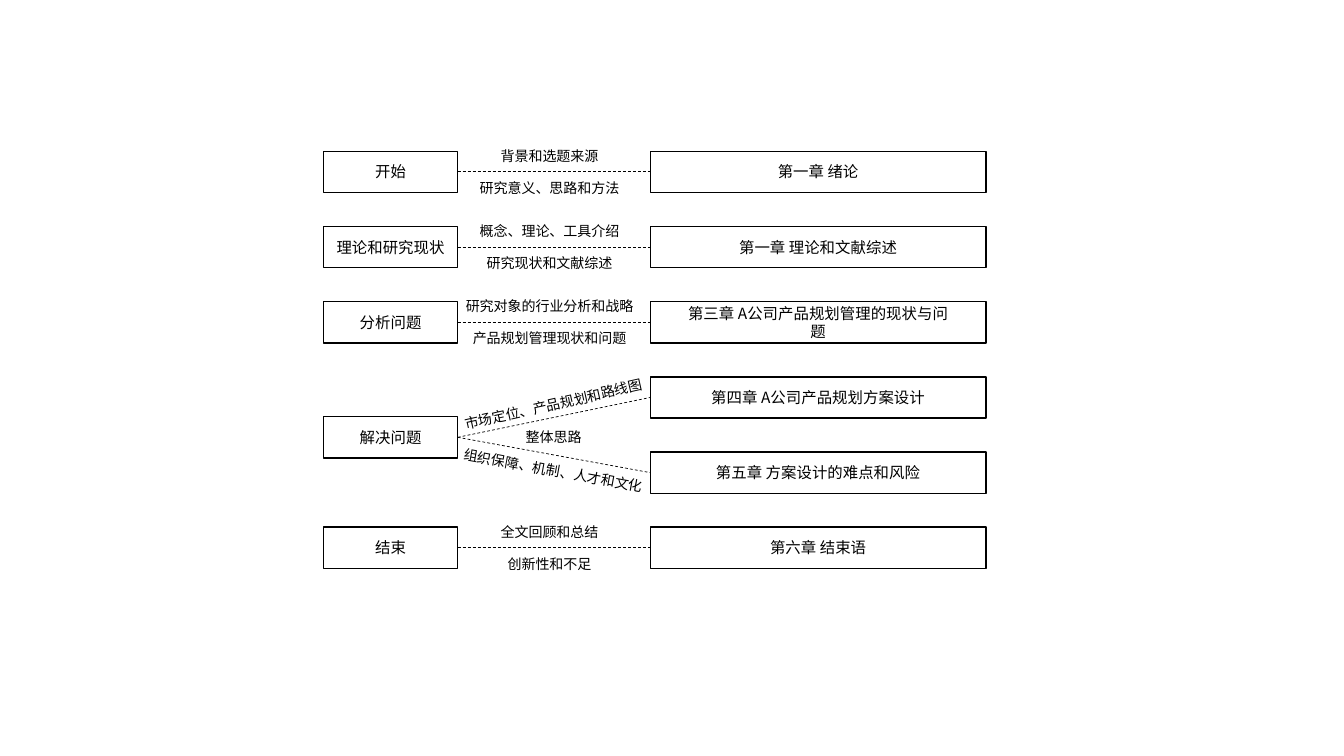
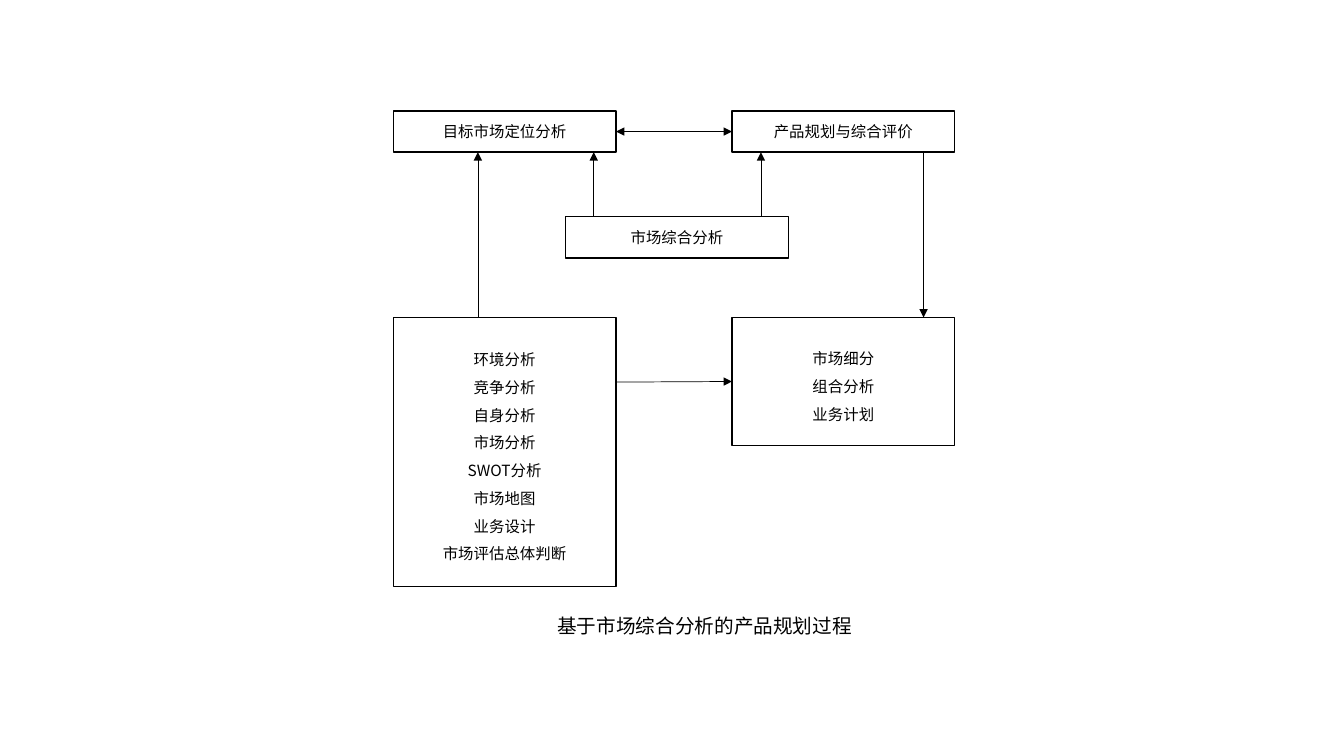
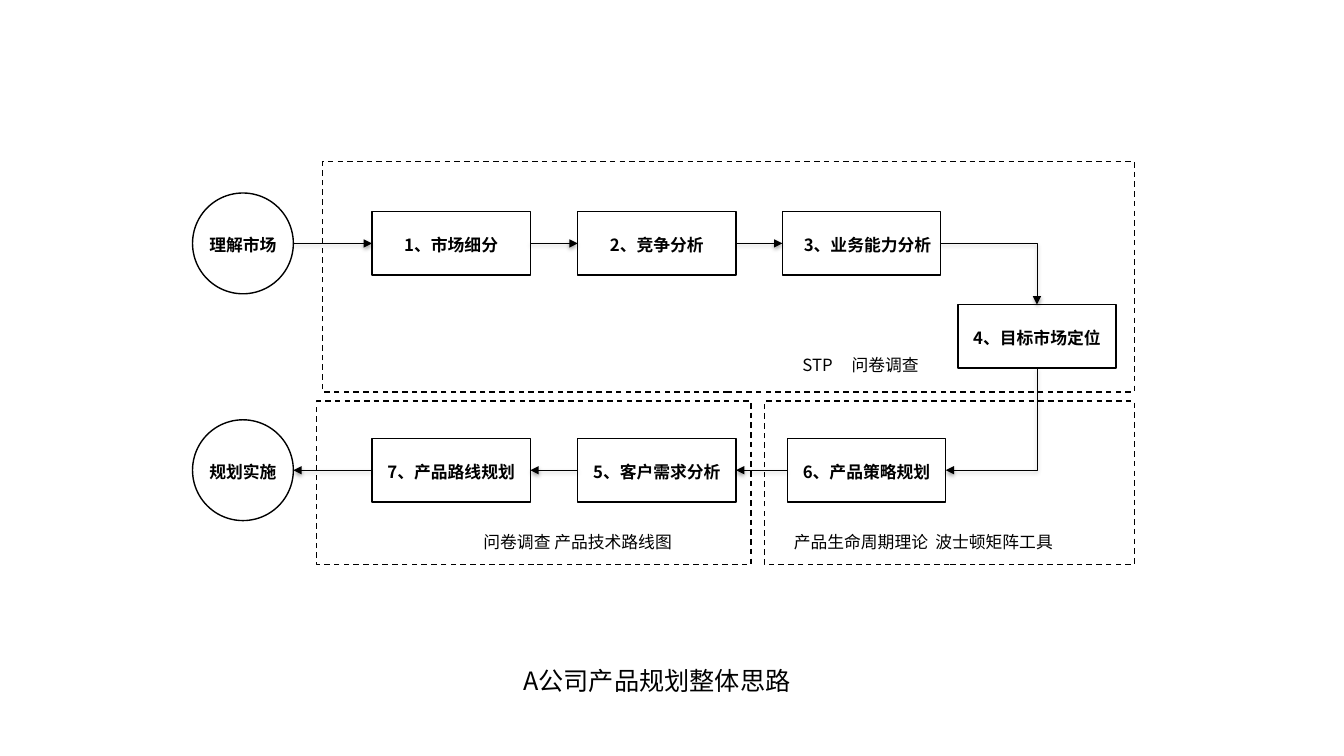
from dataclasses import dataclass

from lxml import etree
from pptx import Presentation
from pptx.dml.color import RGBColor
from pptx.enum.dml import MSO_LINE
from pptx.enum.shapes import MSO_CONNECTOR as Wire, MSO_SHAPE as Preset
from pptx.enum.text import MSO_ANCHOR, MSO_AUTO_SIZE, PP_ALIGN
from pptx.oxml.ns import qn
from pptx.util import Inches, Pt

BLACK = RGBColor(0, 0, 0)
WHITE = RGBColor(255, 255, 255)
FONT = "Noto Sans CJK SC"
SLIDE_WIDTH, SLIDE_HEIGHT = 13.33, 7.5
TITLE_ONLY, BLANK = 5, 6
BAR_HEIGHT = 0.41


@dataclass
class Box:
    """A rectangle in inches."""
    left: float
    top: float
    width: float
    height: float

    def inner(self, left, top, width, height):
        """A box whose place is counted from this one's corner."""
        return Box(self.left + left, self.top + top, width, height)

    def point(self, across, down):
        """A point at these shares of the width and height."""
        return self.left + across * self.width, self.top + down * self.height

    def inches(self):
        return [Inches(v) for v in (self.left, self.top, self.width, self.height)]


def centred(x, y, width, height):
    return Box(x - width / 2, y - height / 2, width, height)


def write(frame, text, size=11, bold=False, leading=None, inset=0, shift=0):
    """Centre the lines of text in a frame; shift moves them to the right."""
    frame.word_wrap = True
    frame.auto_size = MSO_AUTO_SIZE.NONE
    frame.vertical_anchor = MSO_ANCHOR.MIDDLE
    frame.margin_left, frame.margin_right = Inches(inset + shift), Inches(inset - shift)
    frame.margin_top = frame.margin_bottom = 0
    for index, line in enumerate(text.split("\n")):
        para = frame.add_paragraph() if index else frame.paragraphs[0]
        para.alignment = PP_ALIGN.CENTER
        para.line_spacing = Pt(leading or round(size * 1.2))
        span = para.add_run()
        span.text = line
        span.font.name, span.font.size, span.font.bold = FONT, Pt(size), bold
        span.font.color.rgb = BLACK
        etree.SubElement(span.font._element, qn("a:ea"), typeface=FONT)


def add_outline(page, box, text="", preset=Preset.RECTANGLE, fill=None, dashed=False, **style):
    shape = page.shapes.add_shape(preset, *box.inches())
    shape.shadow.inherit = False
    if fill is None:
        shape.fill.background()
    else:
        shape.fill.solid()
        shape.fill.fore_color.rgb = fill
    shape.line.color.rgb, shape.line.width = BLACK, Pt(1)
    if dashed:
        shape.line.dash_style = MSO_LINE.DASH
    if text:
        write(shape.text_frame, text, **style)
    return box


def add_label(page, box, text, rotation=0, **style):
    label = page.shapes.add_textbox(*box.inches())
    label.rotation = rotation
    write(label.text_frame, text, **style)


def add_caption(page, box, text, **style):
    """Place the slide title as the caption of its figure."""
    title = page.shapes.title
    title.left, title.top, title.width, title.height = box.inches()
    write(title.text_frame, text, **style)


def add_line(page, start, end, kind=Wire.STRAIGHT, dashed=False, heads=(), shadow=False):
    """Draw a thin line; heads names the ends with arrows: headEnd, tailEnd."""
    wire = page.shapes.add_connector(kind, *[Inches(v) for v in (*start, *end)])
    wire.line.color.rgb, wire.line.width = BLACK, Pt(0.5)
    if dashed:
        wire.line.dash_style = MSO_LINE.DASH
    properties = wire._element.spPr
    for name in heads:
        etree.SubElement(properties.find(qn("a:ln")), qn(f"a:{name}"), type="triangle")
    effects = etree.SubElement(properties, qn("a:effectLst"))
    if shadow:
        outer = etree.SubElement(effects, qn("a:outerShdw"), blurRad=str(Pt(3)),
                                 dist=str(Pt(1.6)), dir="5400000", rotWithShape="0")
        colour = etree.SubElement(outer, qn("a:srgbClr"), val=str(BLACK))
        etree.SubElement(colour, qn("a:alpha"), val="38000")
    return wire


def add_arrow(page, start, end, **style):
    return add_line(page, start, end, heads=["tailEnd"], **style)


def add_corner(page, start, end, turned=False):
    """Draw a one-bend arrow: right then down, or, turned, down then left."""
    if turned:
        (x1, y1), (x2, y2) = start, end
        frame = centred((x1 + x2) / 2, (y1 + y2) / 2, abs(y2 - y1), abs(x2 - x1))
        start, end = frame.point(0, 0), frame.point(1, 1)
    wire = add_arrow(page, start, end, kind=Wire.ELBOW, shadow=True)
    properties = wire._element.spPr
    properties.find(qn("a:prstGeom")).set("prst", "bentConnector2")
    if turned:
        properties.find(qn("a:xfrm")).set("rot", "5400000")


def build_thesis_outline(page, area):
    """Stages on the left, chapters on the right, topics between them."""
    stage_width, chapter_left, chapter_width = 1.33, 3.24, 3.33
    pitch = (area.height - BAR_HEIGHT) / 5
    topic_x = area.left + 2.24
    chapters = ["第一章 绪论", "第一章 理论和文献综述", "第三章 A公司产品规划管理的现状与问题",
                "第四章 A公司产品规划方案设计", "第五章 方案设计的难点和风险", "第六章 结束语"]
    # stage, its row, the rows of its chapters, topics above and below the line
    stages = [
        ("开始", 0, [0], "背景和选题来源", "研究意义、思路和方法"),
        ("理论和研究现状", 1, [1], "概念、理论、工具介绍", "研究现状和文献综述"),
        ("分析问题", 2, [2], "研究对象的行业分析和战略", "产品规划管理现状和问题"),
        ("解决问题", 3.53, [3, 4], "市场定位、产品规划和路线图", "组织保障、机制、人才和文化"),
        ("结束", 5, [5], "全文回顾和总结", "创新性和不足"),
    ]
    chapter_boxes = [
        add_outline(page, area.inner(chapter_left, row * pitch, chapter_width, BAR_HEIGHT),
                    text, inset=0.3)
        for row, text in enumerate(chapters)]
    for name, row, targets, above, below in stages:
        stage = add_outline(page, area.inner(0, row * pitch, stage_width, BAR_HEIGHT), name)
        start = stage.point(1, 0.5)
        for target in targets:
            add_line(page, start, chapter_boxes[target].point(0, 0.5), dashed=True)
        forked = len(targets) > 1
        x, gap = (topic_x + 0.04, 0.33) if forked else (topic_x, 0.16)
        tilts = (-12.7, 10.3) if forked else (0, 0)
        for text, side, tilt in zip((above, below), (-1, 1), tilts):
            add_label(page, centred(x, start[1] + side * gap, 2.1, 0.2), text,
                      size=10, rotation=tilt)
        if forked:
            add_label(page, centred(x, start[1], 0.8, 0.2), "整体思路", size=10)


def build_planning_process(page, area):
    """Five linked boxes in two columns, with one between them."""
    width, right, lower = 2.21, 3.36, 2.05
    target = add_outline(page, area.inner(0, 0, width, BAR_HEIGHT), "目标市场定位分析")
    plan = add_outline(page, area.inner(right, 0, width, BAR_HEIGHT), "产品规划与综合评价")
    market = add_outline(page, area.inner(1.71, 1.05, width, BAR_HEIGHT), "市场综合分析")
    analyses = add_outline(
        page, area.inner(0, lower, width, 2.67),
        "环境分析\n竞争分析\n自身分析\n市场分析\nSWOT分析\n市场地图\n业务设计\n市场评估总体判断", leading=19.8)
    segments = add_outline(page, area.inner(right, lower, width, 1.27),
                           "市场细分\n组合分析\n业务计划", leading=19.8)
    for source, goal, across in [(analyses, target, 0.38), (market, target, 0.9),
                                 (market, plan, 0.13)]:
        x, end = goal.point(across, 1)
        add_arrow(page, (x, source.top), (x, end))
    add_arrow(page, plan.point(0.86, 1), segments.point(0.86, 0))
    add_arrow(page, analyses.point(1, 0.24), segments.point(0, 0.5))
    add_line(page, target.point(1, 0.5), plan.point(0, 0.5), heads=["headEnd", "tailEnd"])
    add_caption(page, area.inner(1.49, 4.94, 3.2, 0.34), "基于市场综合分析的产品规划过程", size=14)


def build_planning_route(page, area):
    """Seven numbered steps that run right, then back left, in dashed frames."""
    step_width, step_height, circle = 1.57, 0.63, 1
    first, second, third = 1.78, 3.82, 5.85
    upper, lower = 0.5, 2.75
    for frame in [(1.23, 2.38, 4.31, 1.62), (5.67, 2.38, 3.67, 1.62), (1.29, 0, 8.05, 2.29)]:
        add_outline(page, area.inner(*frame), fill=WHITE, dashed=True)

    def add_step(left, top, text, shift=0):
        return add_outline(page, area.inner(left, top, step_width, step_height), text, size=12,
                           bold=True, leading=17, inset=0.15, shift=shift)

    def add_end(row, text):
        top = row + (step_height - circle) / 2
        return add_outline(page, area.inner(0, top, circle, circle), text,
                           preset=Preset.OVAL, size=12, bold=True, leading=17)

    outward = [add_end(upper, "理解市场"), add_step(first, upper, "1、市场细分"),
               add_step(second, upper, "2、竞争分析"),
               add_step(third, upper, "3、业务能力分析", shift=0.06)]
    position = add_step(7.59, 1.42, "4、目标市场定位")
    back = [add_step(third + 0.05, lower, "6、产品策略规划"),
            add_step(second, lower, "5、客户需求分析"),
            add_step(first, lower, "7、产品路线规划"), add_end(lower, "规划实施")]
    for row, leaving, entering in [(outward, 1, 0), (back, 0, 1)]:
        for here, there in zip(row, row[1:]):
            add_arrow(page, here.point(leaving, 0.5), there.point(entering, 0.5), shadow=True)
    add_corner(page, outward[-1].point(1, 0.5), position.point(0.5, 0))
    add_corner(page, position.point(0.5, 1), back[0].point(1, 0.5), turned=True)
    for x, y, text in [(6.2, 2.02, "STP"), (6.87, 2.02, "问卷调查"),
                       (6.63, 3.78, "产品生命周期理论"), (7.95, 3.78, "波士顿矩阵工具"),
                       (3.82, 3.78, "问卷调查 产品技术路线图")]:
        add_label(page, centred(area.left + x, area.top + y, 2.6, 0.24), text, size=12)
    add_caption(page, area.inner(2.33, 4.92, 4.55, 0.4), "A公司产品规划整体思路", size=18, leading=26)


def main():
    deck = Presentation()
    deck.slide_width, deck.slide_height = Inches(SLIDE_WIDTH), Inches(SLIDE_HEIGHT)
    for layout, build, area in [
            (BLANK, build_thesis_outline, Box(3.21, 1.5, 6.57, 4.14)),
            (TITLE_ONLY, build_planning_process, Box(3.9, 1.1, 5.57, 5.28)),
            (TITLE_ONLY, build_planning_route, Box(1.91, 1.6, 9.34, 5.32))]:
        build(deck.slides.add_slide(deck.slide_layouts[layout]), area)
    deck.save("out.pptx")


if __name__ == "__main__":
    main()
